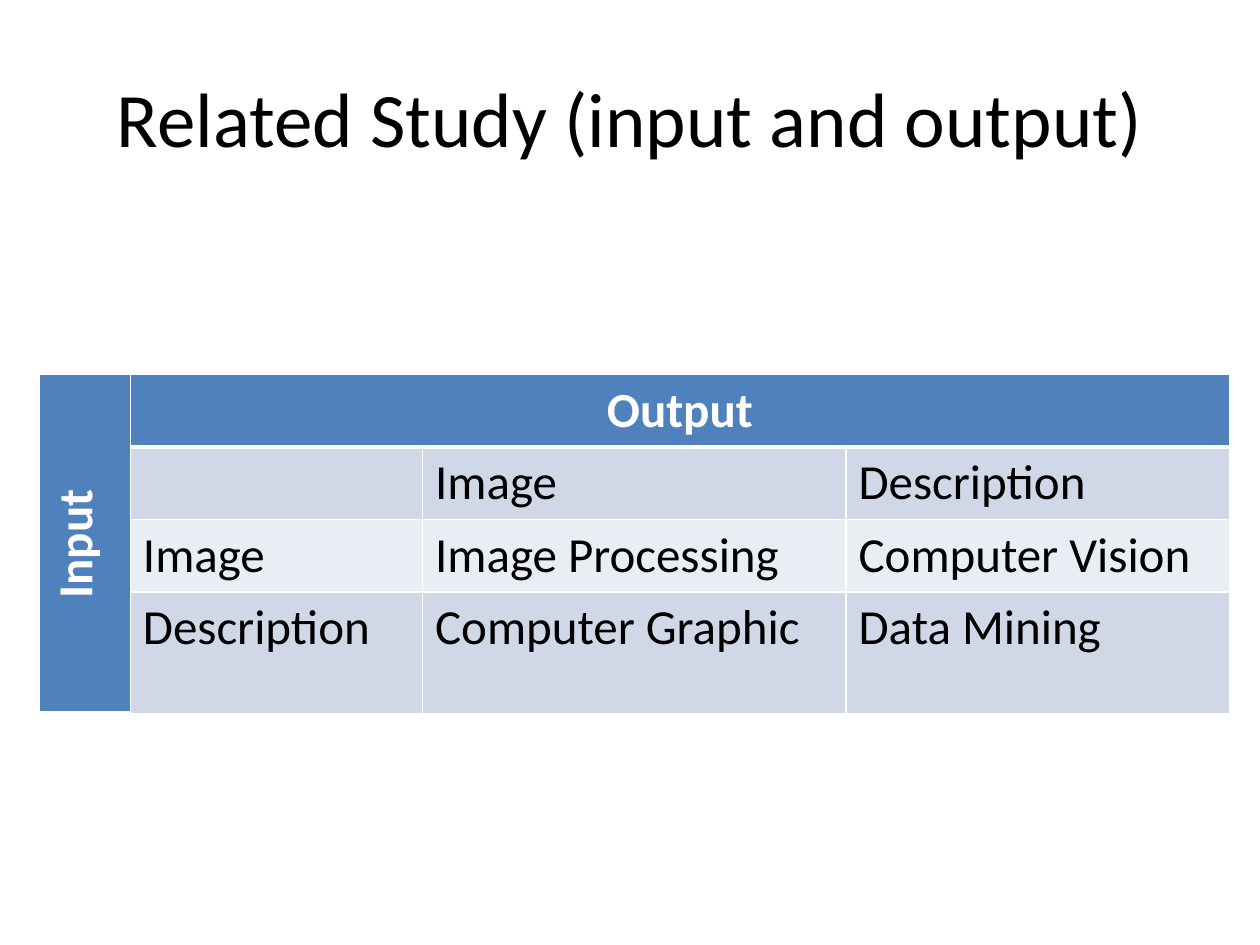
from dataclasses import dataclass

from lxml.etree import SubElement as Sub
from pptx import Presentation
from pptx.dml.color import RGBColor as RGB
from pptx.enum.text import MSO_ANCHOR as Anchor, PP_ALIGN as Align
from pptx.oxml.ns import qn
from pptx.util import Pt


@dataclass(frozen=True)
class Theme:
    font: str = "Calibri"
    title: int = 44
    body: int = 28
    ink: str = "000000"
    paper: str = "FFFFFF"
    head: str = "4F81BD"
    bands: tuple = ("E9EDF4", "D0D8E8")
    thin: int = 1
    thick: int = 3


THEME = Theme()
COLS = (52, 167, 242, 219)
ROWS = (41.4, 41.4, 41.4, 69)
GRID = (
    ("Input", "Output", "", ""),
    ("", "", "Image", "Description"),
    ("", "Image", "Image Processing", "Computer Vision"),
    ("", "Description", "Computer Graphic", "Data Mining"),
)


def write(frame, text, size, color, bold=False, align=Align.LEFT):
    frame.text = text
    para = frame.paragraphs[0]
    para.alignment = align
    for run in para.runs:
        font = run.font
        font.name, font.size, font.bold = THEME.font, Pt(size), bold
        font.color.rgb = RGB.from_string(color)


def add_title(slide, text):
    title = slide.shapes.title
    title.left, title.top = Pt(36), Pt(21.6)
    title.width, title.height = Pt(648), Pt(90)
    title.text_frame.vertical_anchor = Anchor.MIDDLE
    write(title.text_frame, text, THEME.title, THEME.ink, align=Align.CENTER)


def rule_cell(cell, top, bottom):
    """Draw white rules around a cell; top and bottom are widths in points."""
    props = cell._tc.get_or_add_tcPr()
    sides = {"lnL": THEME.thin, "lnR": THEME.thin, "lnT": top, "lnB": bottom}
    for side, width in sides.items():
        line = Sub(props, qn(f"a:{side}"), w=str(Pt(width)))
        Sub(Sub(line, qn("a:solidFill")), qn("a:srgbClr"), val=THEME.paper)


def style_cell(cell, row, col, text):
    head = row == 0 or col == 0
    rule_cell(cell,
              THEME.thick if row == 1 else THEME.thin,
              THEME.thick if row == 0 else THEME.thin)
    cell.fill.solid()
    fill = THEME.head if head else THEME.bands[row % 2]
    cell.fill.fore_color.rgb = RGB.from_string(fill)
    write(cell.text_frame, text, THEME.body,
          THEME.paper if head else THEME.ink, head,
          Align.CENTER if head else Align.LEFT)


def add_matrix(slide):
    frame = slide.shapes.add_table(len(ROWS), len(COLS), Pt(22.5), Pt(214),
                                   Pt(sum(COLS)), Pt(sum(ROWS)))
    table = frame.table
    for col, width in zip(table.columns, COLS):
        col.width = Pt(width)
    for row, height in zip(table.rows, ROWS):
        row.height = Pt(height)
    for r, texts in enumerate(GRID):
        for c, text in enumerate(texts):
            style_cell(table.cell(r, c), r, c, text)
    side = table.cell(0, 0)
    side.merge(table.cell(len(ROWS) - 1, 0))
    side.vertical_anchor = Anchor.MIDDLE
    side._tc.get_or_add_tcPr().set("vert", "vert270")
    table.cell(0, 1).merge(table.cell(0, len(COLS) - 1))


def main():
    deck = Presentation()
    deck.slide_width, deck.slide_height = Pt(720), Pt(540)
    slide = deck.slides.add_slide(deck.slide_layouts[5])
    add_title(slide, "Related Study (input and output)")
    add_matrix(slide)
    deck.save("out.pptx")


if __name__ == "__main__":
    main()
